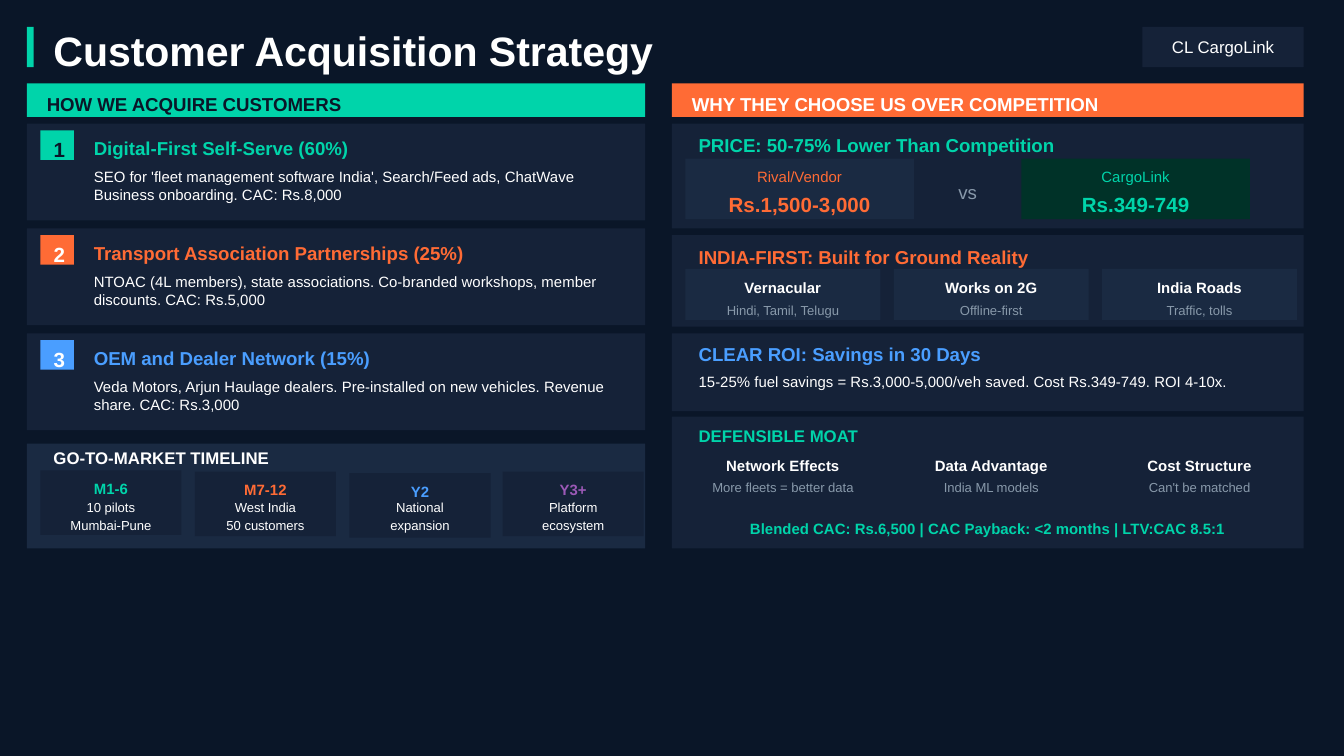
from dataclasses import dataclass
from pptx import Presentation
from pptx.dml.color import RGBColor
from pptx.enum.shapes import MSO_SHAPE as Shape
from pptx.enum.text import MSO_AUTO_SIZE as AutoSize, PP_ALIGN as Align
from pptx.util import Inches, Pt


@dataclass(frozen=True)
class Theme:
    font: str = "Arial"
    # Colours
    back: str = "0A1628"
    panel: str = "152238"
    inset: str = "1A2A42"
    forest: str = "003228"
    white: str = "FFFFFF"
    muted: str = "8899AA"
    teal: str = "00D4AA"
    orange: str = "FF6B35"
    blue: str = "4A9EFF"
    purple: str = "9B59B6"
    # Type sizes
    title: int = 22
    figure: int = 11
    heading: int = 10
    label: int = 9
    body: int = 8
    small: int = 7


THEME = Theme()
PAGE_WIDTH = 10
PAGE_HEIGHT = PAGE_WIDTH * 9 / 16


def add_block(page, left, top, width, height, color):
    block = page.shapes.add_shape(
        Shape.RECTANGLE, Inches(left), Inches(top), Inches(width), Inches(height))
    block.shadow.inherit = False
    block.fill.solid()
    block.fill.fore_color.rgb = RGBColor.from_string(color)
    block.line.fill.background()


def add_text(page, left, top, width, height, text, size,
             color=THEME.white, bold=False, center=False):
    box = page.shapes.add_textbox(
        Inches(left), Inches(top), Inches(width), Inches(height))
    frame = box.text_frame
    frame.word_wrap = True
    frame.auto_size = AutoSize.SHAPE_TO_FIT_TEXT
    frame.text = text
    para = frame.paragraphs[0]
    para.alignment = Align.CENTER if center else Align.LEFT
    span = para.runs[0]
    span.font.name = THEME.font
    span.font.size = Pt(size)
    span.font.bold = bold
    span.font.color.rgb = RGBColor.from_string(color)


def add_title_bar(page, left, top, width):
    add_block(page, left, top, 0.05, 0.3, THEME.teal)
    add_text(page, left + 0.1, top - 0.06, 5, 0.35,
             "Customer Acquisition Strategy", THEME.title, bold=True)
    tag_left = left + width - 1.2
    add_block(page, tag_left, top, 1.2, 0.3, THEME.panel)
    add_text(page, tag_left, top + 0.02, 1.2, 0.25, "CL CargoLink",
             THEME.label, center=True)


def add_column_header(page, left, top, width, text, fill, color):
    add_block(page, left, top, width, 0.25, fill)
    add_text(page, left + 0.05, top + 0.02, width - 0.1, 0.2, text,
             THEME.heading, color, bold=True)


def add_channel(page, left, top, width, number, heading, detail, accent, digit_color):
    add_block(page, left, top, width, 0.72, THEME.panel)
    badge = (left + 0.1, top + 0.05, 0.25, 0.22)
    add_block(page, *badge, accent)
    add_text(page, *badge, str(number), THEME.figure, digit_color,
             bold=True, center=True)
    add_text(page, left + 0.4, top + 0.05, width - 0.6, 0.2, heading,
             THEME.heading, accent, bold=True)
    add_text(page, left + 0.4, top + 0.28, width - 0.5, 0.4, detail, THEME.body)


def add_timeline(page, left, top, width):
    add_block(page, left, top, width, 0.78, THEME.inset)
    add_text(page, left + 0.1, top - 0.02, 2, 0.15, "GO-TO-MARKET TIMELINE",
             THEME.label, bold=True)
    # Card offsets, period, colour and two caption lines
    phases = [
        (0.1, 0.2, "M1-6", THEME.teal, "10 pilots", "Mumbai-Pune"),
        (1.25, 0.21, "M7-12", THEME.orange, "West India", "50 customers"),
        (2.4, 0.22, "Y2", THEME.blue, "National", "expansion"),
        (3.54, 0.21, "Y3+", THEME.purple, "Platform", "ecosystem"),
    ]
    for across, down, period, color, *lines in phases:
        card_left, card_top = left + across, top + down
        add_block(page, card_left, card_top, 1.05, 0.48, THEME.panel)
        add_text(page, card_left, card_top + 0.02, 1.05, 0.15, period,
                 THEME.body, color, bold=True, center=True)
        for row, line in enumerate(lines):
            add_text(page, card_left, top + 0.37 + row * 0.13, 1.05, 0.13,
                     line, THEME.small, center=True)


def add_panel(page, left, top, width, height, heading, color,
              size=THEME.heading, inset=0.03):
    add_block(page, left, top, width, height, THEME.panel)
    add_text(page, left + 0.1, top + inset, width - 0.2, 0.18, heading,
             size, color, bold=True)


def add_price_panel(page, left, top, width):
    add_panel(page, left, top, width, 0.78,
              "PRICE: 50-75% Lower Than Competition", THEME.teal)
    offers = [
        (0.1, "Rival/Vendor", "Rs.1,500-3,000", THEME.inset, THEME.orange),
        (2.6, "CargoLink", "Rs.349-749", THEME.forest, THEME.teal),
    ]
    for offset, name, price, fill, color in offers:
        add_block(page, left + offset, top + 0.26, 1.7, 0.45, fill)
        add_text(page, left + offset, top + 0.28, 1.7, 0.15, name,
                 THEME.body, color, center=True)
        add_text(page, left + offset, top + 0.46, 1.7, 0.2, price,
                 THEME.figure, color, bold=True, center=True)
    add_text(page, left + 1.9, top + 0.38, 0.6, 0.2, "vs",
             THEME.heading, THEME.muted, center=True)


def add_trio(page, left, top, items, caption_drop, fill=None):
    """Three equal cells, each with a bold name over a muted caption."""
    for index, (name, caption) in enumerate(items):
        cell_left = left + index * 1.55
        if fill:
            add_block(page, cell_left, top - 0.02, 1.45, 0.38, fill)
        add_text(page, cell_left, top, 1.45, 0.15, name,
                 THEME.body, bold=True, center=True)
        add_text(page, cell_left, top + caption_drop, 1.45, 0.13, caption,
                 THEME.small, THEME.muted, center=True)


def add_india_panel(page, left, top, width):
    add_panel(page, left, top, width, 0.68,
              "INDIA-FIRST: Built for Ground Reality", THEME.orange)
    add_trio(page, left + 0.1, top + 0.27, [
        ("Vernacular", "Hindi, Tamil, Telugu"),
        ("Works on 2G", "Offline-first"),
        ("India Roads", "Traffic, tolls"),
    ], 0.18, THEME.inset)


def add_roi_panel(page, left, top, width):
    add_panel(page, left, top, width, 0.58,
              "CLEAR ROI: Savings in 30 Days", THEME.blue, inset=0.02)
    add_text(page, left + 0.1, top + 0.24, width - 0.2, 0.3,
             "15-25% fuel savings = Rs.3,000-5,000/veh saved. "
             "Cost Rs.349-749. ROI 4-10x.", THEME.body)


def add_moat_panel(page, left, top, width):
    add_panel(page, left, top, width, 0.98, "DEFENSIBLE MOAT", THEME.teal,
              THEME.label, 0.02)
    add_trio(page, left + 0.1, top + 0.25, [
        ("Network Effects", "More fleets = better data"),
        ("Data Advantage", "India ML models"),
        ("Cost Structure", "Can't be matched"),
    ], 0.17)
    add_text(page, left + 0.1, top + 0.72, width - 0.2, 0.2,
             "Blended CAC: Rs.6,500 | CAC Payback: <2 months | LTV:CAC 8.5:1",
             THEME.body, THEME.teal, bold=True, center=True)


def add_acquisition_column(page, left, top, width):
    add_column_header(page, left, top, width, "HOW WE ACQUIRE CUSTOMERS",
                      THEME.teal, THEME.back)
    channels = [
        ("Digital-First Self-Serve (60%)",
         "SEO for 'fleet management software India', Search/Feed ads, ChatWave "
         "Business onboarding. CAC: Rs.8,000", THEME.teal, THEME.back),
        ("Transport Association Partnerships (25%)",
         "NTOAC (4L members), state associations. Co-branded workshops, member "
         "discounts. CAC: Rs.5,000", THEME.orange, THEME.white),
        ("OEM and Dealer Network (15%)",
         "Veda Motors, Arjun Haulage dealers. Pre-installed on new vehicles. Revenue "
         "share. CAC: Rs.3,000", THEME.blue, THEME.white),
    ]
    for index, channel in enumerate(channels):
        add_channel(page, left, top + 0.3 + index * 0.78, width, index + 1, *channel)
    add_timeline(page, left, top + 2.68, width)


def add_advantage_column(page, left, top, width):
    add_column_header(page, left, top, width, "WHY THEY CHOOSE US OVER COMPETITION",
                      THEME.orange, THEME.white)
    add_price_panel(page, left, top + 0.3, width)
    add_india_panel(page, left, top + 1.13, width)
    add_roi_panel(page, left, top + 1.86, width)
    add_moat_panel(page, left, top + 2.48, width)


def main():
    deck = Presentation()
    deck.slide_width, deck.slide_height = Inches(PAGE_WIDTH), Inches(PAGE_HEIGHT)
    page = deck.slides.add_slide(deck.slide_layouts[6])
    add_block(page, 0, 0, PAGE_WIDTH, PAGE_HEIGHT, THEME.back)
    add_title_bar(page, 0.2, 0.2, 9.5)
    add_acquisition_column(page, 0.2, 0.62, 4.6)
    add_advantage_column(page, 5, 0.62, 4.7)
    deck.save("out.pptx")


if __name__ == "__main__":
    main()
